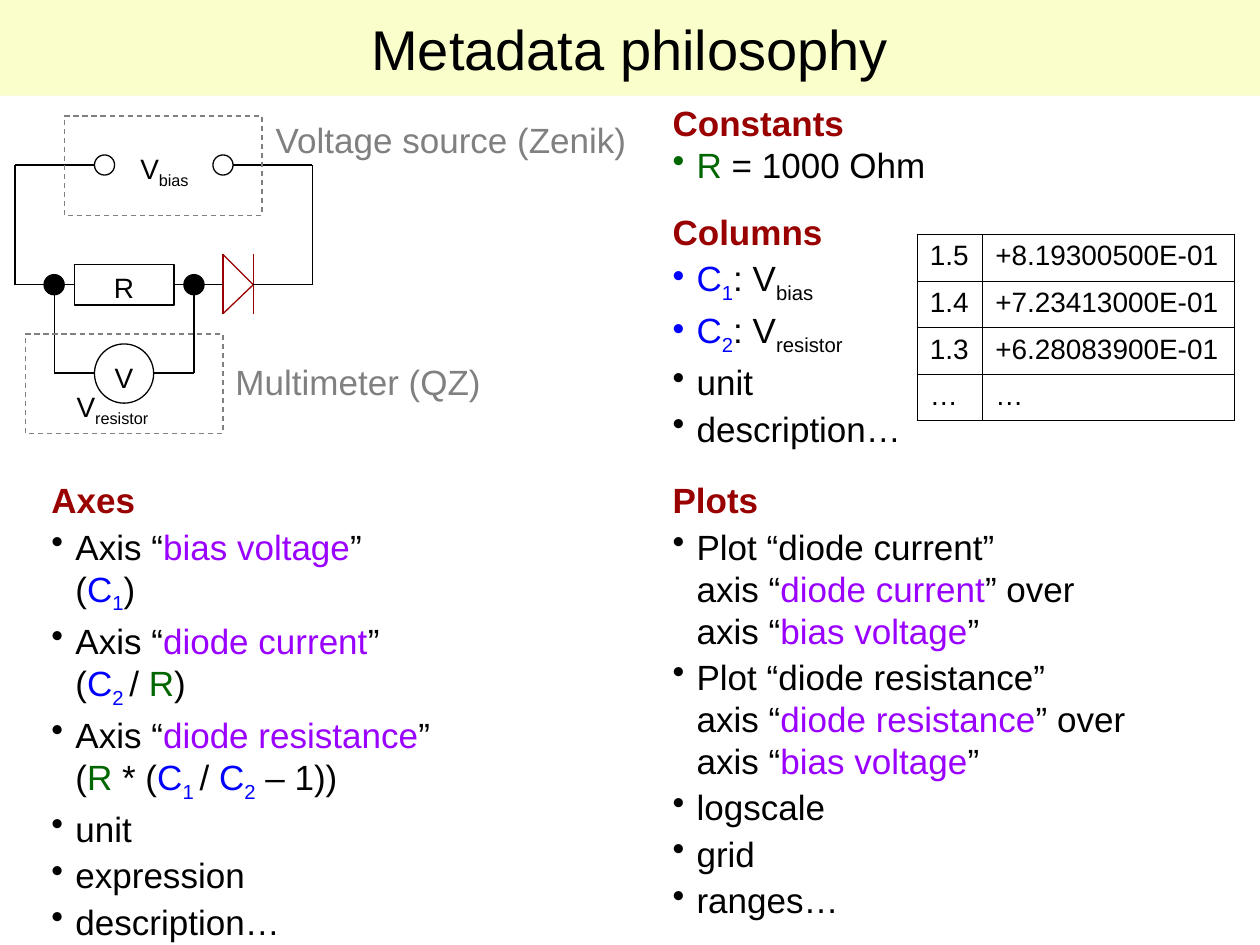
from lxml import etree
from pptx import Presentation
from pptx.dml.color import RGBColor
from pptx.enum.dml import MSO_LINE
from pptx.enum.shapes import MSO_CONNECTOR, MSO_SHAPE
from pptx.enum.text import MSO_ANCHOR, MSO_AUTO_SIZE, PP_ALIGN
from pptx.oxml import parse_xml
from pptx.oxml.ns import nsdecls, qn
from pptx.util import Inches, Pt

LEFT, CENTER = PP_ALIGN.LEFT, PP_ALIGN.CENTER
RECT, OVAL = MSO_SHAPE.RECTANGLE, MSO_SHAPE.OVAL
COLORS = {
    "text": "000000", "heading": "990000", "column": "0000FF",
    "constant": "006600", "axis": "9900FF", "device": "808080",
    "banner": "F9FECA", "diode": "990000",
}
RGB = {name: RGBColor.from_string(value) for name, value in COLORS.items()}
INDENT = Inches(0.19)

prs = Presentation()
prs.slide_width, prs.slide_height = Inches(10), Inches(7.5)
slide = prs.slides.add_slide(prs.slide_layouts[6])
shapes = slide.shapes


def write(frame, paragraphs, size, align=LEFT, space=0, bulleted=False):
    """Fill a frame with paragraphs made of (text, colour, is subscript) runs."""
    for index, runs in enumerate(paragraphs):
        paragraph = frame.add_paragraph() if index else frame.paragraphs[0]
        if bulleted and index:
            props = paragraph._p.get_or_add_pPr()
            props.set("marL", str(INDENT))
            props.set("indent", str(-INDENT))
            color = etree.SubElement(props, qn("a:buClr"))
            etree.SubElement(color, qn("a:srgbClr"), val=COLORS[runs[0][1]])
            etree.SubElement(props, qn("a:buChar"), char="•")
        paragraph.alignment = align
        paragraph.space_before = Pt(space if index else 0)
        for text, color, *subscript in runs:
            for part, line in enumerate(text.split("\n")):
                if part:
                    paragraph.add_line_break()
                run = paragraph.add_run()
                run.text = line
                run.font.name, run.font.size = "Arial", Pt(size)
                run.font.bold = color == "heading"
                run.font.color.rgb = RGB[color]
                if subscript:
                    run._r.get_or_add_rPr().set("baseline", "-25000")


def outline(kind, left, top, width, height, color="text", filled=False, dashed=False):
    shape = shapes.add_shape(kind, Inches(left), Inches(top), Inches(width), Inches(height))
    shape.shadow.inherit = False
    if filled:
        shape.fill.solid()
        shape.fill.fore_color.rgb = RGB[color]
    else:
        shape.fill.background()
    shape.line.color.rgb = RGB[color]
    shape.line.width = Pt(0.75)
    if dashed:
        shape.line.dash_style = MSO_LINE.DASH
    return shape


# Title banner
banner = outline(RECT, 0, 0, 10, 0.76, "banner", filled=True)
banner.line.fill.background()
banner.text_frame.vertical_anchor = MSO_ANCHOR.MIDDLE
write(banner.text_frame, [[("Metadata philosophy", "text")]], 32, CENTER)

# Circuit wires and diode, each a chain of points
SOURCE_Y, RESISTOR_Y, METER_Y = 1.31, 2.26, 2.96
LOOP_LEFT, LOOP_RIGHT = 0.12, 2.48
NODE_LEFT, NODE_RIGHT = 0.43, 1.54
DIODE_LEFT, DIODE_RIGHT, DIODE_TOP, DIODE_BOTTOM = 1.77, 2.01, 2.02, 2.49
chains = [
    ("diode", [(DIODE_LEFT, DIODE_TOP), (DIODE_LEFT, DIODE_BOTTOM),
               (DIODE_RIGHT, RESISTOR_Y), (DIODE_LEFT, DIODE_TOP)]),
    ("diode", [(DIODE_RIGHT, DIODE_TOP), (DIODE_RIGHT, DIODE_BOTTOM)]),
    ("text", [(DIODE_RIGHT, RESISTOR_Y), (LOOP_RIGHT, RESISTOR_Y),
              (LOOP_RIGHT, SOURCE_Y), (1.85, SOURCE_Y)]),
    ("text", [(DIODE_LEFT, RESISTOR_Y), (1.38, RESISTOR_Y)]),
    ("text", [(0.59, RESISTOR_Y), (LOOP_LEFT, RESISTOR_Y),
              (LOOP_LEFT, SOURCE_Y), (0.75, SOURCE_Y)]),
    ("text", [(NODE_LEFT, RESISTOR_Y), (NODE_LEFT, METER_Y), (0.75, METER_Y)]),
    ("text", [(1.22, METER_Y), (NODE_RIGHT, METER_Y), (NODE_RIGHT, RESISTOR_Y)]),
]
for color, points in chains:
    for start, end in zip(points, points[1:]):
        wire = shapes.add_connector(MSO_CONNECTOR.STRAIGHT, *map(Inches, start + end))
        wire.line.color.rgb = RGB[color]
        wire.line.width = Pt(0.75)
        etree.SubElement(wire._element.spPr, qn("a:effectLst"))

# Resistor, meter, terminals, nodes and device frames
outline(RECT, 0.59, 2.1, 0.79, 0.32)
outline(OVAL, 0.75, 2.73, 0.47, 0.47)
for terminal_left in (0.75, 1.69):
    outline(OVAL, terminal_left, SOURCE_Y - 0.08, 0.16, 0.16)
for node_x in (NODE_LEFT, NODE_RIGHT):
    outline(OVAL, node_x - 0.08, RESISTOR_Y - 0.08, 0.16, 0.16, filled=True)
for frame_left, frame_top in ((0.51, 0.92), (0.2, 2.65)):
    outline(RECT, frame_left, frame_top, 1.57, 0.79, "device", dashed=True)

# Table of measured columns
readings = [("1.5", "+8.19300500E-01"), ("1.4", "+7.23413000E-01"),
            ("1.3", "+6.28083900E-01"), ("…", "…")]
table = shapes.add_table(4, 2, Inches(7.28), Inches(1.86), Inches(2.52), Inches(1.48)).table
table.first_row = table.horz_banding = False
table.columns[0].width, table.columns[1].width = Inches(0.52), Inches(2)
for row, values in zip(table.rows, readings):
    row.height = Inches(0.37)
    for cell, value in zip(row.cells, values):
        cell.fill.background()
        cell.margin_left = cell.margin_right = Inches(0.1)
        write(cell.text_frame, [[(value, "text")]], 16)
        for position, side in enumerate(("lnL", "lnR", "lnT", "lnB")):
            border = parse_xml(
                f'<a:{side} {nsdecls("a")} w="{Pt(0.45)}"><a:solidFill>'
                f'<a:srgbClr val="{COLORS["text"]}"/></a:solidFill></a:{side}>')
            cell._tc.get_or_add_tcPr().insert(position, border)

# Text: circuit labels, then the four metadata sections
C = ("C", "column")
ONE, TWO = ("1", "column", True), ("2", "column", True)
ONE_GAP, TWO_GAP = ("1 ", "column", True), ("2 ", "column", True)
R, OVER = ("R", "constant"), ("/ ", "text")
AXIS, CLOSE, OPEN = ("Axis “", "text"), (")", "text"), ("”\n(", "text")
OVER_AXIS, END = ("” over\naxis “", "text"), ("”", "text")
BIAS, CURRENT, RESISTANCE = [
    (f"{name}", "axis") for name in ("bias voltage", "diode current", "diode resistance")]
UNIT, DESCRIPTION = [("unit", "text")], [("description…", "text")]

constants = [[("Constants", "heading")], [R, (" = 1000 Ohm", "text")]]
columns = [
    [("Columns", "heading")],
    [C, ONE, (": V", "text"), ("bias", "text", True)],
    [C, TWO, (": V", "text"), ("resistor", "text", True)],
    UNIT, DESCRIPTION,
]
axes = [
    [("Axes", "heading")],
    [AXIS, BIAS, OPEN, C, ONE, CLOSE],
    [AXIS, CURRENT, OPEN, C, TWO_GAP, OVER, R, CLOSE],
    [AXIS, RESISTANCE, OPEN, R, (" * (", "text"), C, ONE_GAP, OVER, C, TWO,
     (" – 1))", "text")],
    UNIT, [("expression", "text")], DESCRIPTION,
]
plots = [
    [("Plots", "heading")],
    [("Plot “diode current”\naxis “", "text"), CURRENT, OVER_AXIS, BIAS, END],
    [("Plot “diode resistance”\naxis “", "text"), RESISTANCE, OVER_AXIS, BIAS, END],
    [("logscale", "text")], [("grid", "text")], [("ranges…", "text")],
]
texts = [
    # left, top, width, height, paragraphs, size, alignment, space before, wraps
    (0.51, 3.04, 0.94, 0.41, [[("V", "text"), ("resistor", "text", True)]], 16, LEFT, 0, True),
    (0.75, 2.81, 0.47, 0.37, [[("V", "text")]], 16, CENTER, 0, True),
    (0.67, 2.1, 0.63, 0.37, [[("R", "text")]], 16, CENTER, 0, True),
    (0.91, 1.15, 0.79, 0.41, [[("V", "text"), ("bias", "text", True)]], 16, CENTER, 0, True),
    (2.09, 0.89, 3, 0.44, [[("Voltage source (Zenik)", "device")]], 20, LEFT, 0, False),
    (1.77, 2.81, 2.15, 0.44, [[("Multimeter (QZ)", "device")]], 20, LEFT, 0, False),
    (5.24, 0.76, 2.78, 0.77, constants, 20, LEFT, 0, True),
    (5.24, 1.62, 2.6, 2, columns, 20, LEFT, 2.5, True),
    (0.31, 3.75, 4.69, 3.78, axes, 20, LEFT, 2.5, True),
    (5.24, 3.75, 4.76, 3.61, plots, 20, LEFT, 2.5, True),
]
for left, top, width, height, paragraphs, size, align, space, wraps in texts:
    box = shapes.add_textbox(Inches(left), Inches(top), Inches(width), Inches(height))
    box.text_frame.word_wrap = wraps
    box.text_frame.auto_size = MSO_AUTO_SIZE.SHAPE_TO_FIT_TEXT
    write(box.text_frame, paragraphs, size, align, space, bulleted=True)

prs.save("out.pptx")
